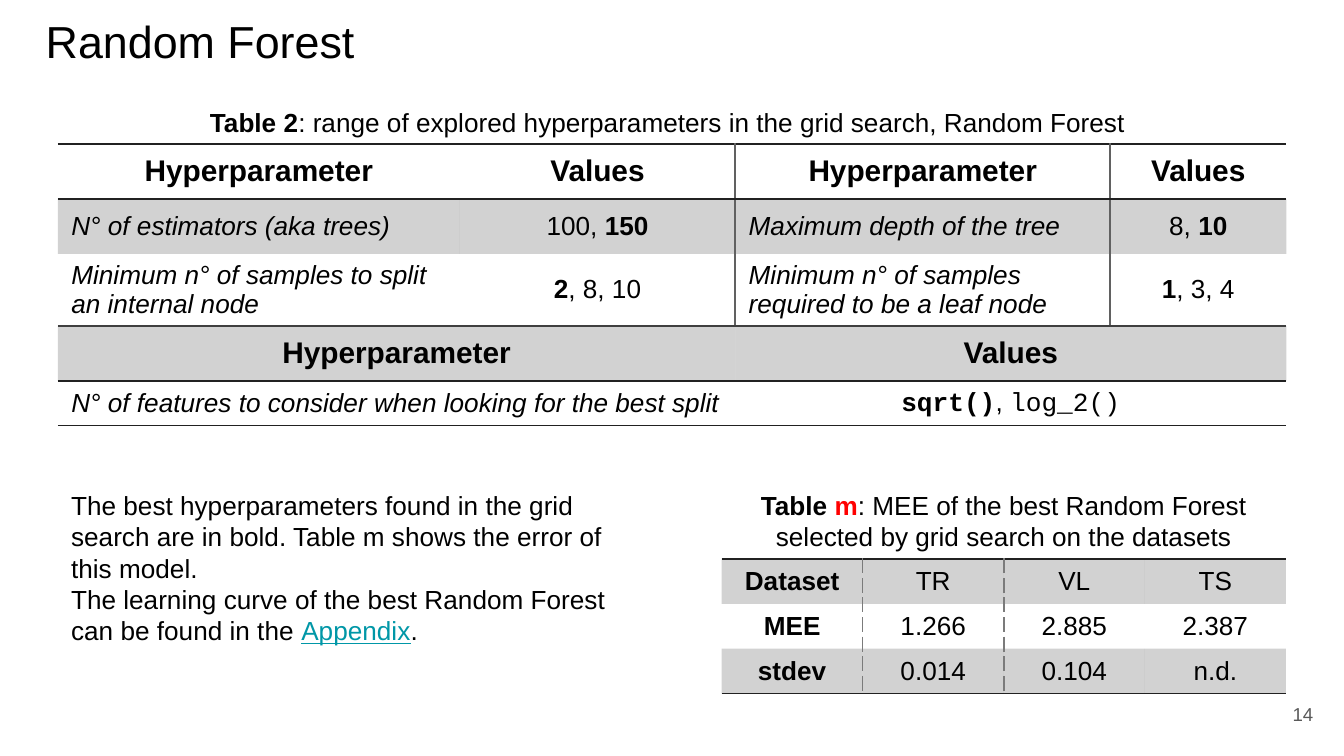
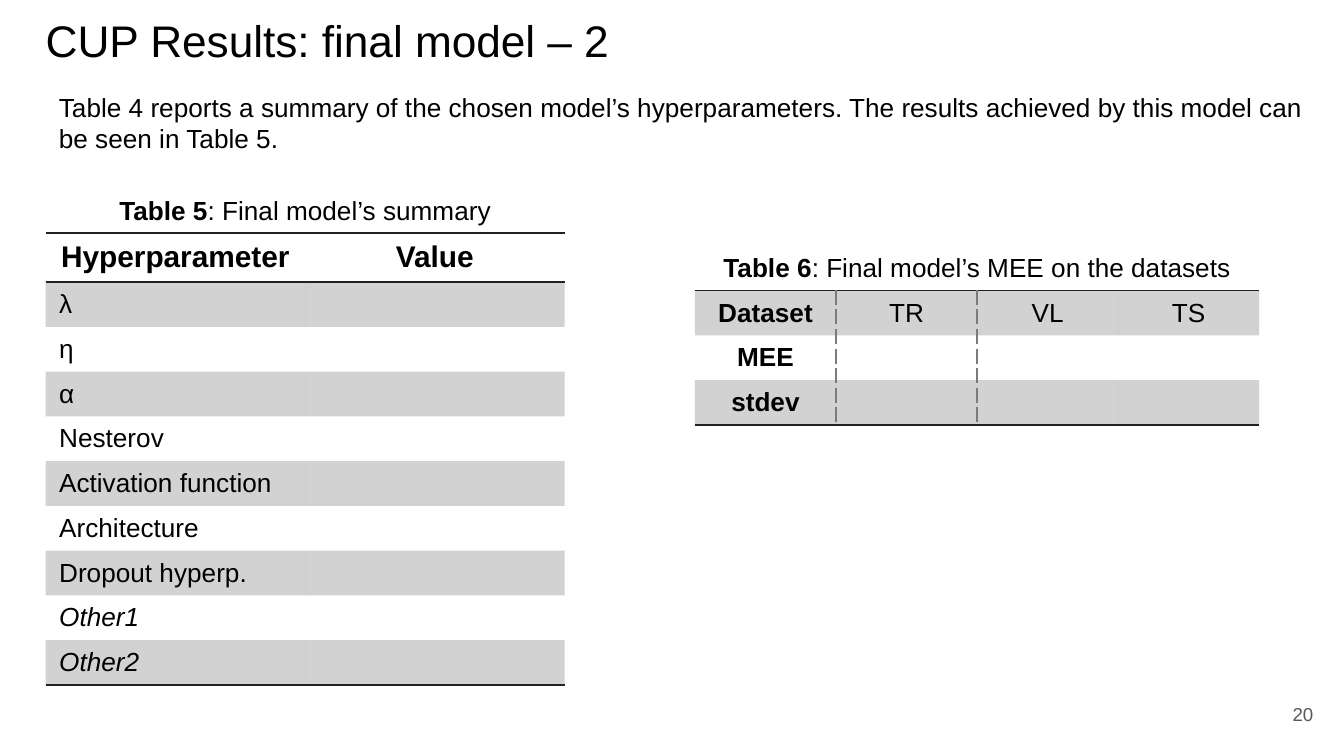
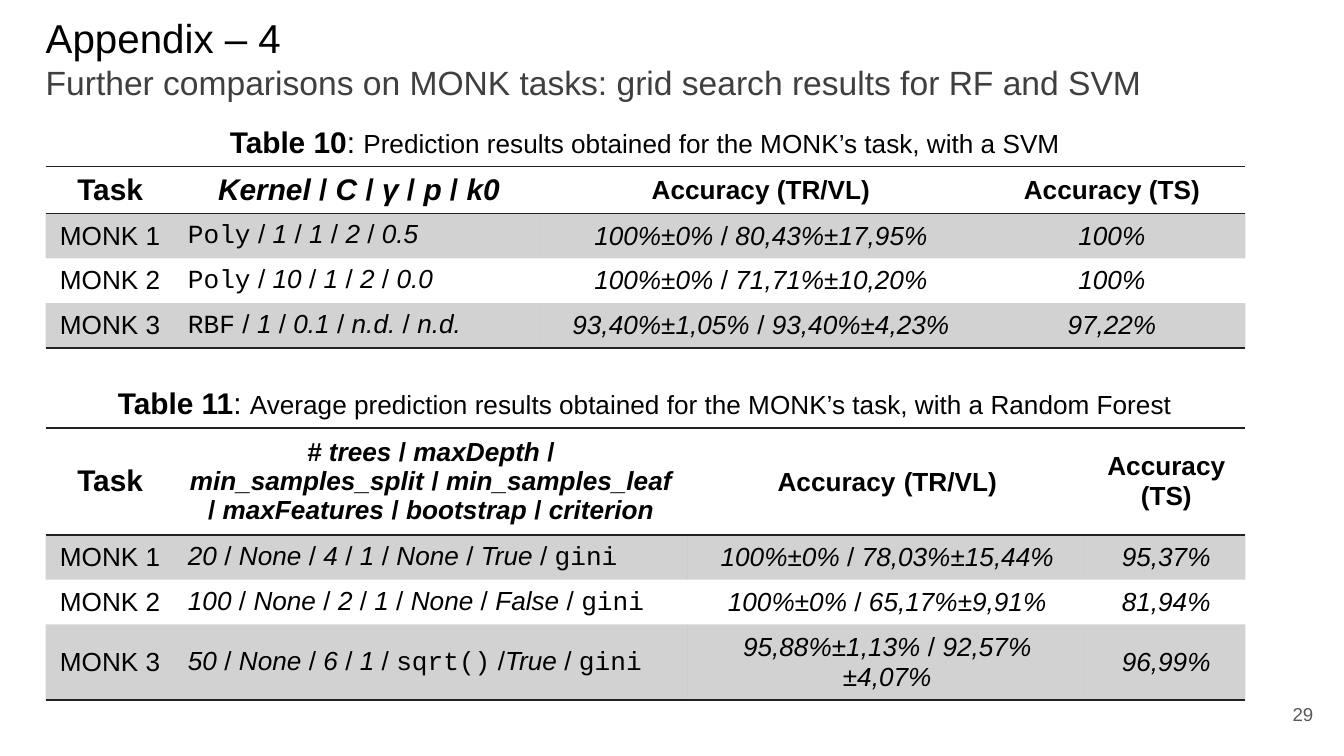
from lxml.etree import SubElement
from pptx import Presentation
from pptx.dml.color import RGBColor
from pptx.enum.text import MSO_ANCHOR, MSO_AUTO_SIZE, PP_ALIGN
from pptx.oxml.ns import qn
from pptx.util import Pt

COLORS = {
    "text": "000000",
    "subtitle": "3F3F3F",
    "number": "595959",
    "rule": "212121",
    "soft_rule": "3F3F3F",
    "divider": "616161",
    "dash": "7B7B7B",
    "band": "212121",
    "link": "0097A7",
    "todo": "FF0000",
}
FONT, MONO = "Arial", "Courier New"
SIZE, BIG = 14, 16
BAND_ALPHA = 20000
NO_STYLE = "{2D5ABB26-0587-4C30-8999-92F81FD0307C}"
LEFT = 24.5
ROW = 24
CELL_MARGIN = 2.5

# Inline marks that switch a run style on and off
MARKS = {"*": "bold", "~": "italic", "`": "mono", "+": "big", "@": "link", "^": "todo"}


def rgb(name):
    return RGBColor.from_string(COLORS[name])


def style_run(r, size=SIZE, color="text", font=FONT):
    r.font.size, r.font.name = Pt(size), font
    r.font.color.rgb = rgb(color)


def split_marks(text):
    """Yield (piece, active styles) for a marked-up string."""
    active, piece = set(), ""
    for ch in text:
        if ch not in MARKS:
            piece += ch
            continue
        if piece:
            yield piece, set(active)
        active ^= {MARKS[ch]}
        piece = ""
    if piece:
        yield piece, active


def write_paragraph(p, text, align=PP_ALIGN.LEFT):
    p.alignment = align
    for piece, styles in split_marks(text):
        r = p.add_run()
        r.text = piece
        color = next((c for c in ("link", "todo") if c in styles), "text")
        style_run(r, BIG if "big" in styles else SIZE, color,
                  MONO if "mono" in styles else FONT)
        r.font.bold = "bold" in styles
        r.font.italic = "italic" in styles
        r.font.underline = "link" in styles
    if not text:
        SubElement(p._p, qn("a:endParaRPr"), sz=str(SIZE * 100))


# Text elements
def add_text(s, left, top, width, height, *paragraphs, align=PP_ALIGN.LEFT):
    tf = s.shapes.add_textbox(Pt(left), Pt(top), Pt(width), Pt(height)).text_frame
    tf.word_wrap = True
    for i, text in enumerate(paragraphs):
        p = tf.add_paragraph() if i else tf.paragraphs[0]
        write_paragraph(p, text, align)


def add_caption(s, left, top, width, height, text):
    add_text(s, left, top, width, height, text, align=PP_ALIGN.CENTER)


def add_number(s, number):
    tf = s.shapes.add_textbox(Pt(667.4), Pt(367.2), Pt(43.2), Pt(31)).text_frame
    tf.text = str(number)
    tf.margin_top = tf.margin_bottom = Pt(7.2)
    tf.word_wrap = True
    tf.vertical_anchor = MSO_ANCHOR.MIDDLE
    p = tf.paragraphs[0]
    p.alignment = PP_ALIGN.RIGHT
    style_run(p.runs[0], 10, "number")


def add_slide(prs, number, title, size, subtitle="", height=45.4, width=671):
    s = prs.slides.add_slide(prs.slide_layouts[5])
    sp = s.shapes.title
    sp.left, sp.top, sp.width, sp.height = Pt(LEFT), Pt(0), Pt(width), Pt(height)
    tf = sp.text_frame
    tf.text = f"{title}\v{subtitle}" if subtitle else title
    tf.margin_left = tf.margin_right = 0
    tf.margin_top = tf.margin_bottom = Pt(7.2)
    tf.word_wrap, tf.auto_size = True, MSO_AUTO_SIZE.NONE
    tf.vertical_anchor = MSO_ANCHOR.TOP
    p = tf.paragraphs[0]
    p.alignment = PP_ALIGN.LEFT
    for r, look in zip(p.runs, ((size, "text"), (18, "subtitle"))):
        style_run(r, *look)
    add_number(s, number)
    return s


# Tables
def add_border(cell, side, color, dash="solid"):
    ln = SubElement(cell._tc.get_or_add_tcPr(), qn(f"a:ln{side}"), w=str(Pt(1)))
    if color:
        fill = SubElement(ln, qn("a:solidFill"))
        SubElement(fill, qn("a:srgbClr"), val=COLORS[color])
        SubElement(ln, qn("a:prstDash"), val=dash)
    else:
        SubElement(ln, qn("a:noFill"))


def fill_band(cell):
    cell.fill.solid()
    cell.fill.fore_color.rgb = rgb("band")
    clr = cell._tc.tcPr.find(qn("a:solidFill")).find(qn("a:srgbClr"))
    SubElement(clr, qn("a:alpha"), val=str(BAND_ALPHA))


def add_grid(s, left, top, widths, heights, data, shaded, rules,
             dividers=(), divider=("divider", "solid"), divided_rows=3, spans=()):
    """Rules map row edges to colours; a leading '<' aligns a cell left."""
    frame = s.shapes.add_table(len(heights), len(widths), Pt(left), Pt(top),
                               Pt(sum(widths)), Pt(sum(heights)))
    tbl = frame.table
    tbl.first_row = tbl.horz_banding = False
    tbl._tbl.tblPr.find(qn("a:tableStyleId")).text = NO_STYLE
    for col, width in zip(tbl.columns, widths):
        col.width = Pt(width)
    for row, height in zip(tbl.rows, heights):
        row.height = Pt(height)
    for y, row in enumerate(data):
        for x, text in enumerate(row):
            cell = tbl.cell(y, x)
            cell.vertical_anchor = MSO_ANCHOR.MIDDLE
            cell.margin_top = cell.margin_bottom = Pt(CELL_MARGIN)
            align = PP_ALIGN.LEFT if text.startswith("<") else PP_ALIGN.CENTER
            write_paragraph(cell.text_frame.paragraphs[0], text.lstrip("<"), align)
            for side, edge in (("L", x), ("R", x + 1)):
                on = edge in dividers and y < divided_rows
                add_border(cell, side, *(divider if on else (None,)))
            for side, edge in (("T", y), ("B", y + 1)):
                add_border(cell, side, rules.get(edge))
            if y in shaded:
                fill_band(cell)
            else:
                cell.fill.background()
    for y, first, last in spans:
        tbl.cell(y, first).merge(tbl.cell(y, last))


def add_error_table(s, left, top, mee, stdev):
    data = [["*Dataset*", "TR", "VL", "TS"], ["*MEE*", *mee], ["*stdev*", *stdev]]
    add_grid(s, left, top, [75.6] * 4, [ROW] * 3, data, (0, 2),
             {0: "rule", 3: "rule"}, (1, 2), ("dash", "dash"))


def add_monk_table(s, top, widths, heights, data):
    add_grid(s, LEFT, top, widths, heights, data, (1, 3),
             {0: "rule", 1: "rule", 4: "rule"})


# Slides
def random_forest(prs):
    s = add_slide(prs, 14, "Random Forest", 24, width=695.5)
    head, value = "*+Hyperparameter", "*+Values"
    add_grid(
        s, 31, 77.2, [215.3, 147.6, 200.9, 94.3], [29.4, 29.4, 38.6, 29.4, ROW],
        [[head, value, head, value],
         ["<~N° of estimators (aka trees)", "100, *150",
          "<~Maximum depth of the tree", "8, *10"],
         ["<~Minimum n° of samples to split an internal node", "*2*, 8, 10",
          "<~Minimum n° of samples required to be a leaf node", "*1*, 3, 4"],
         [head, "", value, ""],
         ["<~N° of features to consider when looking for the best split", "",
          "*`sqrt()`*, `log_2()", ""]],
        (1, 3),
        {0: "rule", 1: "rule", 3: "soft_rule", 4: "rule", 5: "rule"},
        dividers=(2, 3),
        spans=[(y, x, x + 1) for y in (3, 4) for x in (0, 2)])
    add_caption(s, 31, 53.3, 657.4, 24.2,
                "*Table 2*: range of explored hyperparameters in the grid search, "
                "Random Forest ")
    add_text(s, 31, 258.5, 311.8, 92.2,
             "The best hyperparameters found in the grid search are in bold. "
             "Table m shows the error of this model.",
             "The learning curve of the best Random Forest can be found in the "
             "@Appendix@.")
    add_error_table(s, 386.6, 299.5, ["1.266", "2.885", "2.387"],
                    ["0.014", "0.104", "n.d."])
    add_caption(s, 386.6, 258.5, 302.4, 41,
                "*Table ^m^*: MEE of the best Random Forest selected by grid "
                "search on the datasets")


def final_model(prs):
    s = add_slide(prs, 20, "CUP Results: final model – 2", 23.7)
    add_text(s, LEFT, 45.4, 695.5, 41,
             "Table 4 reports a summary of the chosen model’s hyperparameters. "
             "The results achieved by this model can be seen in Table 5.")
    names = ["λ", "η", "α", "Nesterov", "Activation function", "Architecture",
             "Dropout hyperp.", "~Other1", "~Other2"]
    add_grid(s, LEFT, 124.7, [139] * 2, [26.4] + [ROW] * len(names),
             [["*+Hyperparameter", "*+Value"]] + [["<" + n, ""] for n in names],
             range(1, 10, 2), {0: "rule", 1: "rule", 10: "rule"})
    add_caption(s, LEFT, 100.8, 278, 24.2, "*Table 5*: Final model’s summary")
    add_error_table(s, 372.3, 155.7, [""] * 3, [""] * 3)
    add_caption(s, 372.3, 131.2, 302.4, 24.2,
                "*Table 6*: Final model’s MEE on the datasets")


def appendix(prs):
    s = add_slide(prs, 29, "Appendix – 4", 21.6,
                  "Further comparisons on MONK tasks: grid search results for RF and SVM",
                  height=62.6)
    add_monk_table(
        s, 89.2, [69, 197.6, 233.2, 142.9], [25.2] + [ROW] * 3,
        [["*+Task", "*+~Kernel~ / ~C ~/ ~γ ~/ ~p~ / ~k0",
          "*Accuracy (TR/VL)", "*Accuracy (TS)"],
         ["MONK 1", "<`Poly` / ~1~ / ~1 ~/ ~2~ / ~0.5",
          "~100%±0% ~/~ 80,43%±17,95%", "~100%"],
         ["MONK 2", "<`Poly` / ~10~ / ~1 ~/ ~2 ~/ ~0.0",
          "~100%±0% ~/ ~71,71%±10,20%", "~100%"],
         ["MONK 3", "<`RBF` / ~1~ / ~0.1~ / ~n.d.~ / ~n.d.",
          "~93,40%±1,05% ~/~ 93,40%±4,23%", "~97,22%"]])
    add_caption(s, LEFT, 62.6, 642.3, 26.6,
                "+*Table 10*: +Prediction results obtained for the MONK’s task, "
                "with a SVM")
    add_monk_table(
        s, 229.2, [69, 274.7, 214.3, 84.7], [57.4, ROW, ROW, 40.6],
        [["*+Task",
          "*~# trees ~/ ~maxDepth ~/ ~min_samples_split ~/ ~min_samples_leaf ~/ "
          "~maxFeatures ~/~ bootstrap ~/ ~criterion",
          "*Accuracy+ +(TR/VL)", "*Accuracy (TS)"],
         ["MONK 1", "<~20 ~/~ None ~/~ 4 ~/~ 1 ~/~ None ~/~ True ~/ `gini",
          "~100%±0% ~/~ 78,03%±15,44%", "~95,37%"],
         ["MONK 2", "<~100~ / ~None~ / ~2~ / ~1~ / ~None~ / ~False~ / `gini",
          "~100%±0% ~/~ 65,17%±9,91%", "~81,94%"],
         ["MONK 3", "<~50~ / ~None~ / ~6~ / ~1~ / `sqrt()` /~True~ / `gini",
          "~95,88%±1,13% ~/~ 92,57%±4,07%", "~96,99%"]])
    add_caption(s, LEFT, 202.5, 642.3, 26.6,
                "+*Table 11*: +Average prediction results obtained for the MONK’s "
                "task, with a Random Forest")


def main():
    prs = Presentation()
    prs.slide_width, prs.slide_height = Pt(720), Pt(405)
    random_forest(prs)
    final_model(prs)
    appendix(prs)
    prs.save("out.pptx")


if __name__ == "__main__":
    main()
